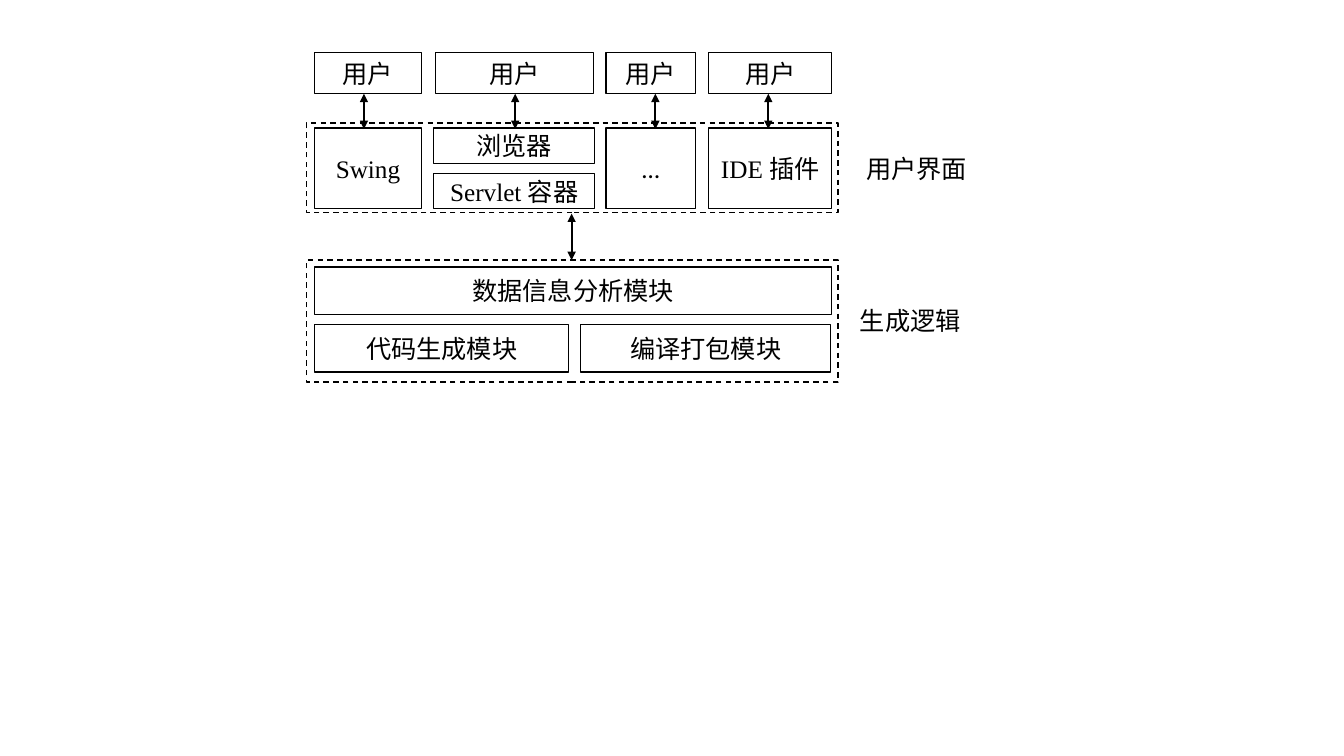
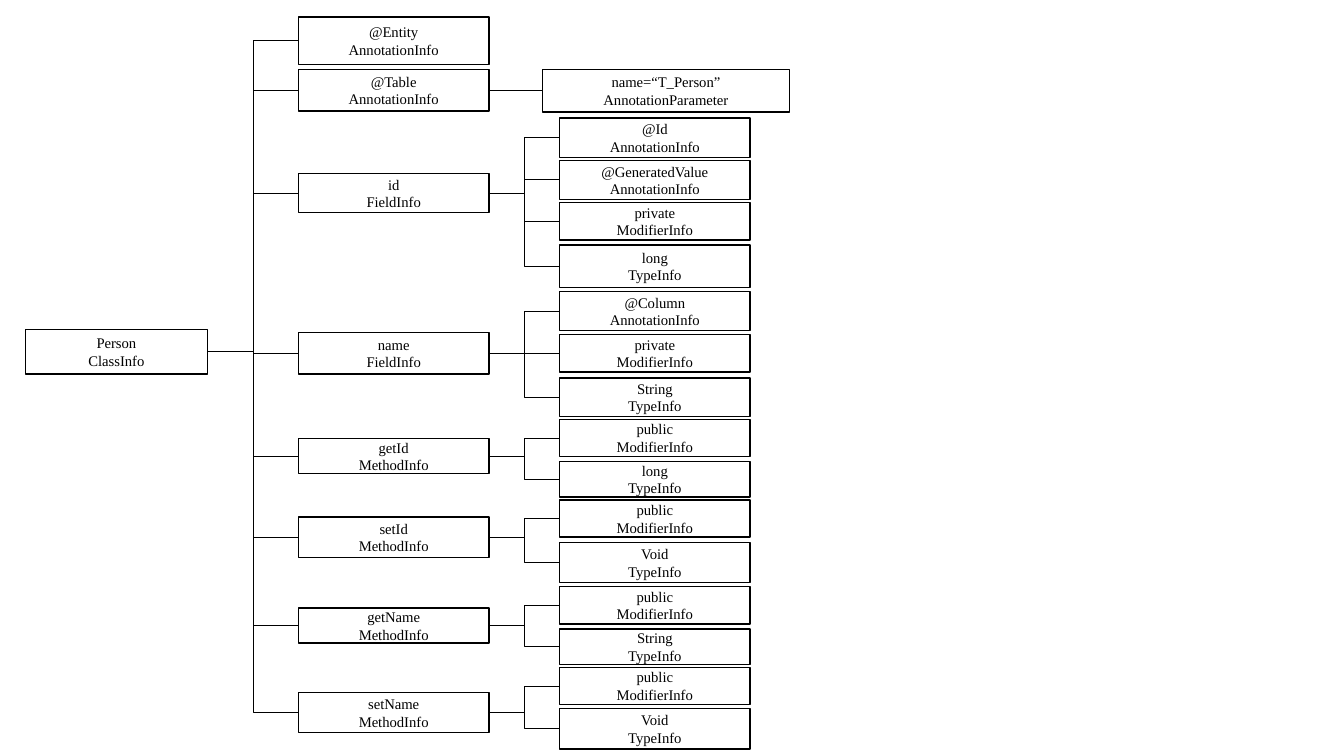
"""Build a module diagram and a class info tree."""
import lxml.etree
import pptx
import pptx.dml.color
import pptx.enum.dml
import pptx.enum.shapes
import pptx.enum.text
import pptx.oxml.ns
import pptx.util

Inches = pptx.util.Inches
Pt = pptx.util.Pt
qn = pptx.oxml.ns.qn
ANCHOR = pptx.enum.text.MSO_ANCHOR
LINK = pptx.enum.shapes.MSO_CONNECTOR
BLACK = pptx.dml.color.RGBColor(0, 0, 0)
WHITE = pptx.dml.color.RGBColor(255, 255, 255)
SANS, SERIF = "Calibri", "Times New Roman"
LARGE = {"size": Pt(18), "name": SANS}
ROMAN = {**LARGE, "name": SERIF}
SMALL = {"size": Pt(10.5), "name": SERIF}

FRAMES = [(3.04, 1.22, 5.27, 0.89), (3.04, 2.58, 5.27, 1.21)]
USERS = [(3.12, 1.06, 3.61), (4.32, 1.57, 5.11), (6.01, 0.89, 6.5), (7.03, 1.22, 7.62)]
PARTS = [
    ("Swing", ROMAN, (3.12, 1.27, 1.06, 0.8)),
    ("浏览器", LARGE, (4.3, 1.27, 1.6, 0.35)),
    ("Servlet 容器", ROMAN, (4.3, 1.72, 1.6, 0.35)),
    ("…", LARGE, (6.01, 1.27, 0.89, 0.8)),
    ("IDE 插件", ROMAN, (7.03, 1.27, 1.22, 0.8)),
    ("数据信息分析模块", LARGE, (3.12, 2.65, 5.13, 0.47)),
    ("代码生成模块", LARGE, (3.12, 3.22, 2.52, 0.47)),
    ("编译打包模块", LARGE, (5.76, 3.22, 2.48, 0.47)),
]
LABELS = [("用户界面", (8.31, 1.47, 1.56, 0.4)), ("生成逻辑", (8.25, 2.98, 1.56, 0.4))]

ROOT = ("Person", "ClassInfo", 3.27, 0.44)
ROOT_COL, NODE_COL = (0.25, 1.81), (2.96, 1.89)
LEAF_COL, WIDE_COL = (5.55, 1.89), (5.38, 2.45)
TREE = [
    (("@Entity", "AnnotationInfo", 0.17, 0.47), LEAF_COL, []),
    (("@Table", "AnnotationInfo", 0.69, 0.41), WIDE_COL, [
        ("name=“T_Person”", "AnnotationParameter", 0.69, 0.42)]),
    (("id", "FieldInfo", 1.72, 0.39), LEAF_COL, [
        ("@Id", "AnnotationInfo", 1.17, 0.39),
        ("@GeneratedValue", "AnnotationInfo", 1.59, 0.39),
        ("private", "ModifierInfo", 2.01, 0.37),
        ("long", "TypeInfo", 2.43, 0.42)]),
    (("name", "FieldInfo", 3.3, 0.41), LEAF_COL, [
        ("@Column", "AnnotationInfo", 2.89, 0.39),
        ("private", "ModifierInfo", 3.32, 0.37),
        ("String", "TypeInfo", 3.75, 0.38)]),
    (("getId", "MethodInfo", 4.35, 0.35), LEAF_COL, [
        ("public", "ModifierInfo", 4.16, 0.37),
        ("long", "TypeInfo", 4.58, 0.35)]),
    (("setId", "MethodInfo", 5.13, 0.4), LEAF_COL, [
        ("public", "ModifierInfo", 4.96, 0.37),
        ("Void", "TypeInfo", 5.38, 0.4)]),
    (("getName", "MethodInfo", 6.03, 0.35), LEAF_COL, [
        ("public", "ModifierInfo", 5.82, 0.37),
        ("String", "TypeInfo", 6.24, 0.35)]),
    (("setName", "MethodInfo", 6.87, 0.4), LEAF_COL, [
        ("public", "ModifierInfo", 6.62, 0.37),
        ("Void", "TypeInfo", 7.03, 0.4)]),
]


def write(shape, text, style):
    frame = shape.text_frame
    frame.word_wrap = True
    frame.text = text
    for para in frame.paragraphs:
        para.alignment = pptx.enum.text.PP_ALIGN.CENTER
        para.font.color.rgb = BLACK
        for key, value in style.items():
            setattr(para.font, key, value)


def box(slide, place, text="", style=LARGE):
    kind = pptx.enum.shapes.MSO_SHAPE.RECTANGLE
    shape = slide.shapes.add_shape(kind, *map(Inches, place))
    shape.shadow.inherit = False
    shape.fill.solid()
    shape.fill.fore_color.rgb = WHITE
    shape.line.color.rgb = BLACK
    shape.line.width = Pt(1)
    if text:
        shape.text_frame.vertical_anchor = ANCHOR.MIDDLE
        write(shape, text, style)
    return shape


def link(slide, kind, ends, width):
    line = slide.shapes.add_connector(kind, *map(Inches, ends))
    line.line.color.rgb = BLACK
    line.line.width = Pt(width)
    lxml.etree.SubElement(line.element.spPr, qn("a:effectLst"))
    return line


def arrow(slide, x, top, end):
    line = link(slide, LINK.STRAIGHT, (x, top, x, end), 1.5)
    stroke = line.element.spPr.find(qn("a:ln"))
    for tag in ("a:headEnd", "a:tailEnd"):
        lxml.etree.SubElement(stroke, qn(tag), type="triangle")


def node(slide, col, item, owner=None):
    name, kind, top, height = item
    left, width = col
    shape = box(slide, (left, top, width, height), f"{name}\n{kind}", SMALL)
    if owner:
        line = link(slide, LINK.ELBOW, (0, 0, 0, 0), 0.5)
        line.begin_connect(owner, 3)
        line.end_connect(shape, 1)
    return shape


def draw_parts(slide):
    for place in FRAMES:
        frame = box(slide, place)
        frame.line.dash_style = pptx.enum.dml.MSO_LINE.DASH
    for text, style, place in PARTS:
        box(slide, place, text, style)
    for left, width, x in USERS:
        box(slide, (left, 0.52, width, 0.41), "用户")
        arrow(slide, x, 0.93, 1.28)
    arrow(slide, 5.67, 2.12, 2.58)
    for text, place in LABELS:
        label = slide.shapes.add_textbox(*map(Inches, place))
        write(label, text, LARGE)
        label.text_frame.auto_size = pptx.enum.text.MSO_AUTO_SIZE.SHAPE_TO_FIT_TEXT


def draw_tree(slide):
    root = node(slide, ROOT_COL, ROOT)
    for item, col, leaves in TREE:
        branch = node(slide, NODE_COL, item, root)
        for leaf in leaves:
            node(slide, col, leaf, branch)


def main():
    deck = pptx.Presentation()
    deck.slide_width = Inches(13.33)
    deck.slide_height = Inches(7.5)
    for draw in (draw_parts, draw_tree):
        draw(deck.slides.add_slide(deck.slide_layouts[6]))
    deck.save("out.pptx")


if __name__ == "__main__":
    main()
